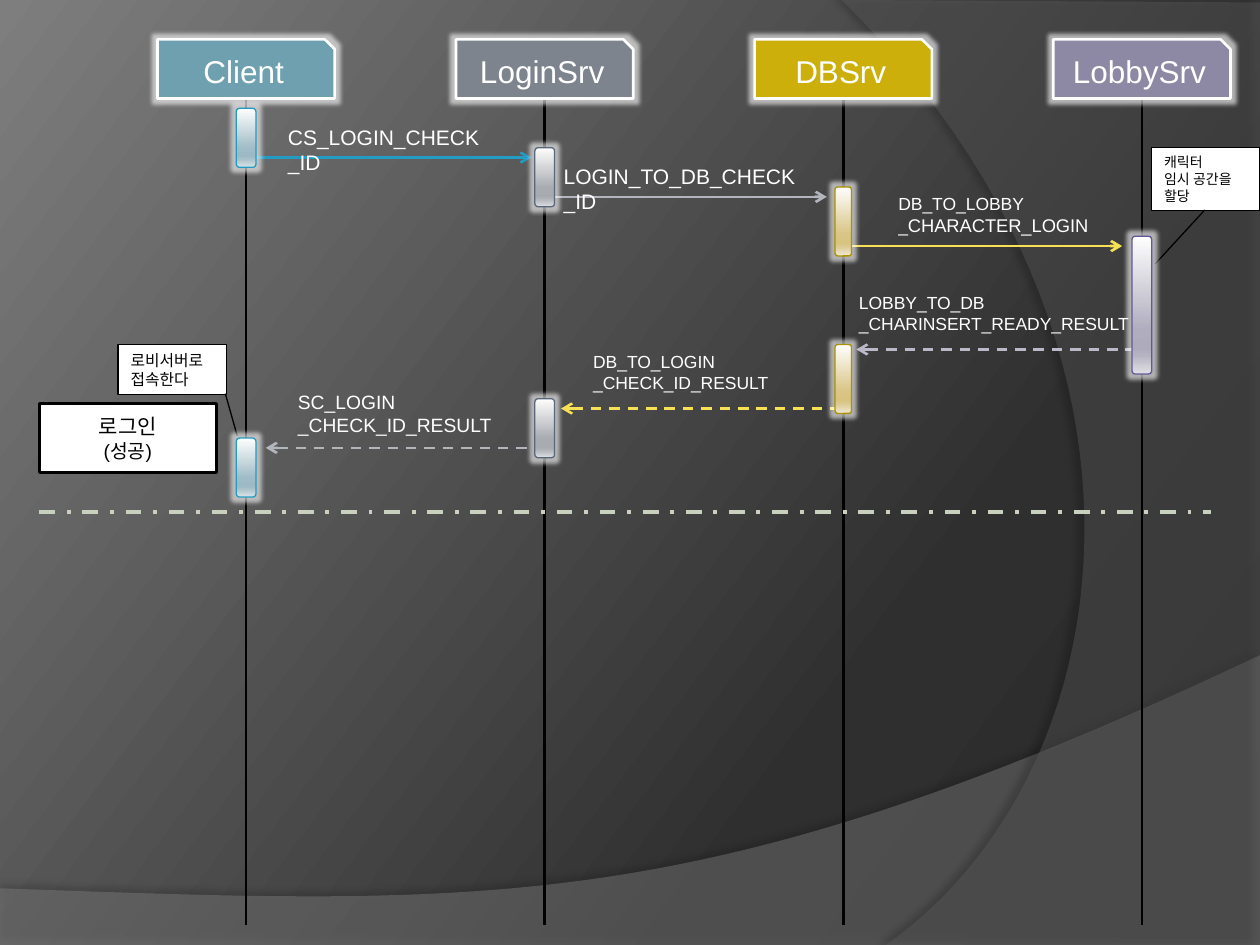
from lxml.etree import SubElement
from pptx import Presentation
from pptx.dml.color import RGBColor
from pptx.enum.dml import MSO_LINE
from pptx.enum.shapes import MSO_CONNECTOR, MSO_SHAPE
from pptx.enum.text import MSO_ANCHOR, PP_ALIGN
from pptx.oxml.ns import qn
from pptx.util import Inches, Pt

COLUMNS, ROWS = 128, 96
WHITE = RGBColor(0xFF, 0xFF, 0xFF)
BLACK = RGBColor(0x00, 0x00, 0x00)
TEAL = RGBColor(0x6E, 0xA0, 0xB0)
SLATE = RGBColor(0x7E, 0x84, 0x8D)
GOLD = RGBColor(0xCC, 0xAF, 0x0A)
PURPLE = RGBColor(0x8D, 0x89, 0xA4)
BLUE_EDGE = RGBColor(0x23, 0x9B, 0xC2)
SLATE_EDGE = RGBColor(0x59, 0x67, 0x7D)
GOLD_EDGE = RGBColor(0xAB, 0x92, 0x00)
PURPLE_EDGE = RGBColor(0x62, 0x58, 0x99)
YELLOW = RGBColor(0xF7, 0xDF, 0x56)
SILVER = RGBColor(0xB2, 0xB5, 0xBB)
LILAC = RGBColor(0xBB, 0xB8, 0xC8)
SAGE = RGBColor(0xC8, 0xD0, 0xBE)
HILL = RGBColor(0x7F, 0x7F, 0x7F)
ARC = RGBColor(0x5E, 0x5E, 0x5E)
BACKDROP = [(0, "282828"), (30, "2F2F2F"), (100, "7E7E7E")]
SHEEN = (0, 68, 81, 86, 100)
CENTRED = {"alignment": PP_ALIGN.CENTER}


def assign(target, values):
    for name, value in values.items():
        setattr(target, name, value)


def curve(start, first, second, end, steps=48):
    for step in range(steps + 1):
        t = step / steps
        weights = ((1 - t) ** 3, 3 * t * (1 - t) ** 2, 3 * t * t * (1 - t), t ** 3)
        yield tuple(sum(w * p[axis] for w, p in zip(weights, (start, first, second, end)))
                    for axis in (0, 1))


class SequenceSlide:
    font = "Arial"

    def __init__(self, deck):
        self.slide = deck.slides.add_slide(deck.slide_layouts[6])
        self.shapes = self.slide.shapes
        self.column = deck.slide_width / COLUMNS
        self.row = deck.slide_height / ROWS

    def box(self, left, top, width, height):
        return [round(size * unit) for size, unit in
                zip((left, top, width, height), (self.column, self.row) * 2)]

    def gradient(self, fill, element, stops, angle):
        fill.gradient()
        fill.gradient_angle = 360 - angle
        stop_list = element.find(".//" + qn("a:gsLst"))
        for old in list(stop_list):
            stop_list.remove(old)
        for position, colour in stops:
            stop = SubElement(stop_list, qn("a:gs"), pos=str(position * 1000))
            SubElement(stop, qn("a:srgbClr"), val=colour)

    def backdrop(self):
        background = self.slide.background
        self.gradient(background.fill, background.element, BACKDROP, 217)

    def effect(self, shape, kind, colour, opacity, **values):
        shape.shadow.inherit = False
        effects = shape.element.spPr.find(qn("a:effectLst"))
        node = SubElement(effects, qn("a:" + kind), **{k: str(v) for k, v in values.items()})
        paint = SubElement(node, qn("a:srgbClr"), val=str(colour))
        SubElement(paint, qn("a:alpha"), val=str(opacity * 1000))

    def wave(self, points, colour, opacity, shade, distance, direction):
        outline = [(Inches(x), Inches(y)) for x, y in points]
        builder = self.shapes.build_freeform(*outline[0])
        builder.add_line_segments(outline[1:], close=True)
        shape = builder.convert_to_shape()
        shape.fill.solid()
        shape.fill.fore_color.rgb = colour
        paint = shape.element.spPr.find(qn("a:solidFill"))[0]
        SubElement(paint, qn("a:alpha"), val=str(opacity * 1000))
        shape.line.fill.background()
        self.effect(shape, "outerShdw", BLACK, shade, blurRad=Pt(4),
                    dist=Pt(distance), dir=direction * 60000)

    def label(self, shape, lines, colour, frame=(), paragraph=()):
        assign(shape.text_frame, {"word_wrap": True, **dict(frame)})
        for index, runs in enumerate(lines):
            line = (shape.text_frame.add_paragraph() if index
                    else shape.text_frame.paragraphs[0])
            assign(line, {"alignment": PP_ALIGN.LEFT, **dict(paragraph)})
            for text, size in runs:
                run = line.add_run()
                run.text = text
                assign(run.font, {"name": self.font, "size": Pt(size)})
                run.font.color.rgb = colour

    def shape(self, preset, place, fill, edge, width, glow=False):
        shape = self.shapes.add_shape(preset, *self.box(*place))
        if isinstance(fill, RGBColor):
            shape.fill.solid()
            shape.fill.fore_color.rgb = fill
        else:
            self.gradient(shape.fill, shape.element, zip(SHEEN, fill), 90)
        shape.line.color.rgb = edge
        shape.line.width = Pt(width)
        shape.shadow.inherit = False
        if glow:
            self.effect(shape, "glow", WHITE, 60, rad=Pt(5))
        return shape

    def line(self, start, end, colour, width=1.5, dash=None, arrow=None):
        connector = self.shapes.add_connector(
            MSO_CONNECTOR.STRAIGHT, *self.box(*start, *end))
        connector.line.color.rgb = colour
        assign(connector.line, {"width": Pt(width), "dash_style": dash})
        properties = connector.element.spPr
        if arrow:
            SubElement(properties.find(qn("a:ln")), qn("a:" + arrow), type="arrow")
        SubElement(properties, qn("a:effectLst"))

    def header(self, lane, title, colour):
        shape = self.shape(MSO_SHAPE.SNIP_1_RECTANGLE, (lane - 9, 4, 18, 6),
                           colour, WHITE, 1.5, True)
        self.label(shape, [[(title, 18)]], WHITE,
                   {"vertical_anchor": MSO_ANCHOR.MIDDLE}, CENTRED)

    def activation(self, lane, top, height, width, sheen, edge):
        self.shape(MSO_SHAPE.ROUNDED_RECTANGLE, (lane - width / 2, top, width, height),
                   sheen, edge, 0.75, True)

    def callout(self, place, pointer, lines, size):
        shape = self.shape(MSO_SHAPE.LINE_CALLOUT_1, place, WHITE, BLACK, 0.75)
        for index, value in enumerate(pointer):
            shape.adjustments[index] = value
        self.label(shape, [[(line, size)] for line in lines], BLACK,
                   {"vertical_anchor": MSO_ANCHOR.TOP})

    def outcome(self, place, lines):
        shape = self.shape(MSO_SHAPE.RECTANGLE, place, WHITE, BLACK, 1.5)
        self.label(shape, lines, BLACK, {"vertical_anchor": MSO_ANCHOR.MIDDLE}, CENTRED)

    def message(self, place, lines):
        self.label(self.shapes.add_textbox(*self.box(*place)), lines, WHITE)


deck = Presentation()
assign(deck, {"slide_width": Inches(10), "slide_height": Inches(7.5)})
sequence = SequenceSlide(deck)
sequence.backdrop()
sequence.wave([(0, 7.5), (10, 7.5), *curve((10, 5.2), (5.59, 7.29), (3.91, 7.19), (0, 7.05))],
              HILL, 45, 35, 3.5, 270)
sequence.wave([(10, 0.02), (10, 7.5), *curve((7.03, 7.5), (8.91, 6.19), (9.47, 2.75), (6.68, 0))],
              ARC, 40, 45, 4, 180)

sequence.callout((12, 35, 11, 5.1), (0.98, 0.99, 1.82, 1.1), ["로비서버로", "접속한다"], 9)
sequence.callout((117, 15, 11, 6.4), (0.99, 0.49, 1.85, 0.03),
                 ["캐릭터", "임시 공간을", "할당"], 8)

for start, end, row, colour, reply in [
    (86, 114, 25, YELLOW, False),
    (57, 85, 41.5, YELLOW, True),
    (27, 54, 45.5, SILVER, True),
    (56, 84, 20, SILVER, False),
    (26, 54, 16, BLUE_EDGE, False),
    (87, 115, 35.5, LILAC, True),
]:
    sequence.line((start, row), (end, row), colour, dash=MSO_LINE.DASH if reply else None,
                  arrow="headEnd" if reply else "tailEnd")

servers = [
    ("Client", TEAL, BLUE_EDGE, ("FEFEFE", "A0BCC6", "9CB9C4", "A7C0C9", "DAE4E7"),
     2, [(11, 6), (44.5, 6)]),
    ("LoginSrv", SLATE, SLATE_EDGE, ("FEFEFE", "A8ABB0", "A5A8AD", "AEB1B5", "DDDEE0"),
     2, [(15, 6), (40.5, 6)]),
    ("DBSrv", GOLD, GOLD_EDGE, ("FFFEFE", "D9C587", "D8C381", "DBC990", "EFE7D3"),
     1.67, [(19, 7), (35, 7)]),
    ("LobbySrv", PURPLE, PURPLE_EDGE, ("FEFEFE", "B0AEBE", "ADABBC", "B5B3C2", "E0DFE4"),
     2, [(24, 14)]),
]
for index, (title, colour, edge, sheen, width, spans) in enumerate(servers):
    lane = 25 + index * 91 / 3
    sequence.line((lane, 10), (lane, 94), BLACK)
    sequence.header(lane, title, colour)
    for top, height in spans:
        sequence.activation(lane, top, height, width, sheen, edge)

for place, lines in [
    ((28, 12, 23, 3.8), [[("CS_LOGIN_CHECK_ID", 12)]]),
    ((56, 16, 27, 3.8), [[("LOGIN_TO_DB_CHECK_ID", 12)]]),
    ((59, 35, 20.7, 5.6), [[("DB_TO_LOGIN", 10)], [("_CHECK_ID_RESULT", 10)]]),
    ((29, 39, 22.7, 6), [[("SC_LOGIN", 11)], [("_CHECK_ID_RESULT", 11)]]),
    ((90, 19, 22.3, 5.8), [[("DB_TO_LOBBY", 10)], [("_", 10), ("CHARACTER_LOGIN", 10.5)]]),
    ((86, 29, 30.5, 5.6), [[("LOBBY_TO_DB", 10)], [("_CHARINSERT_READY_RESULT", 10)]]),
]:
    sequence.message(place, lines)

sequence.line((4, 52), (123, 52), SAGE, 2.25, MSO_LINE.DASH_DOT)
sequence.outcome((4, 41, 18, 7), [[("로그인", 12)], [("(성공)", 11)]])
deck.save("out.pptx")
